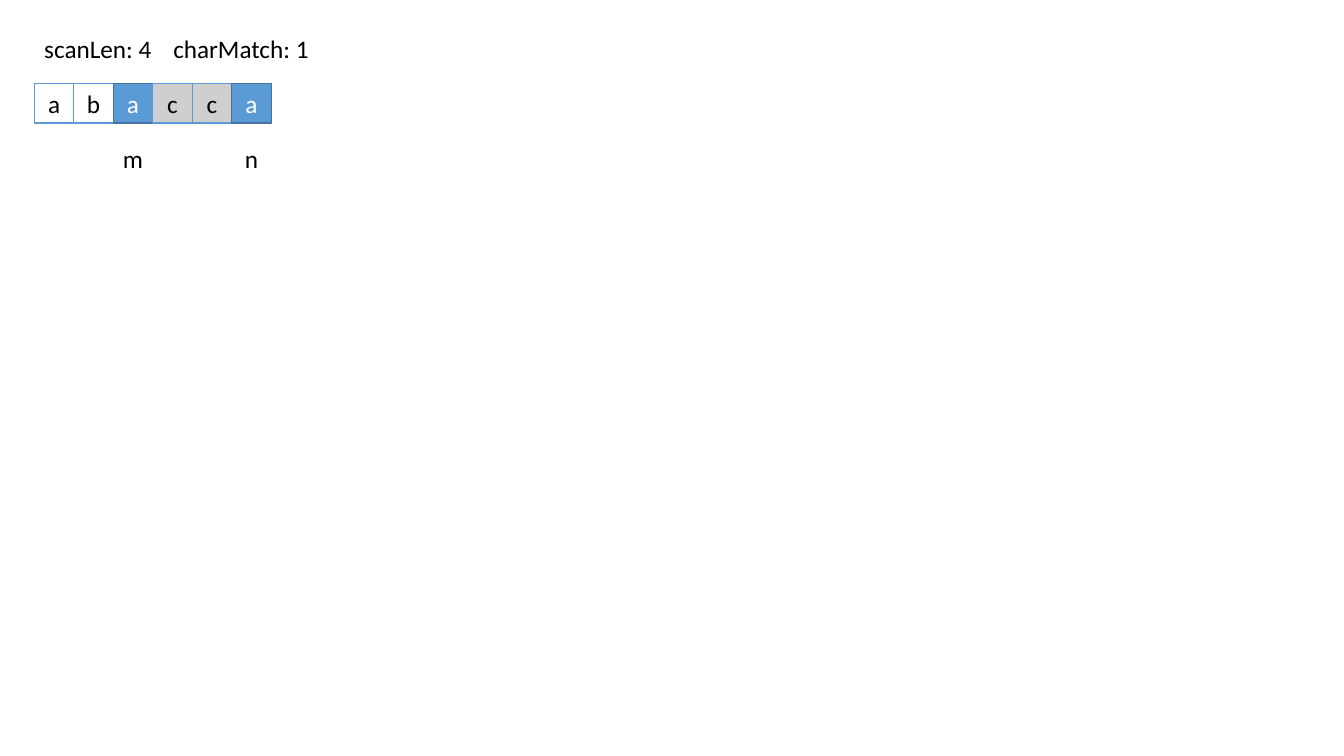
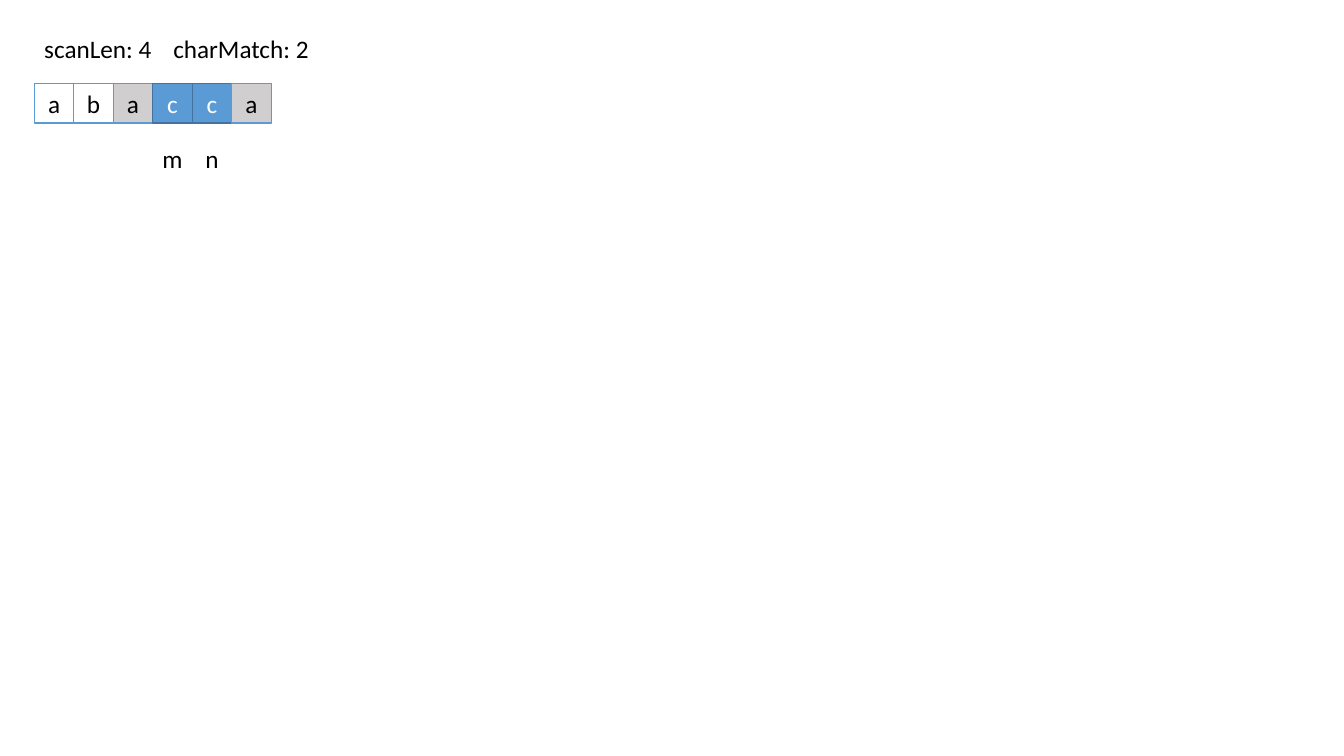
from lxml import etree
from pptx import Presentation
from pptx.dml.color import RGBColor
from pptx.enum.shapes import MSO_SHAPE
from pptx.enum.text import MSO_ANCHOR, MSO_AUTO_SIZE, PP_ALIGN
from pptx.oxml.ns import qn
from pptx.util import Inches, Pt

LETTERS = "abacca"
WINDOW = range(2, 6)
STEPS = [
    {"scanLen": 4, "charMatch": 1, "pointers": {"m": 2, "n": 5}},
    {"scanLen": 4, "charMatch": 2, "pointers": {"m": 3, "n": 4}},
]

BLACK, WHITE = "000000", "FFFFFF"
BLUE, DARK_BLUE, GRAY = "5B9BD5", "43739E", "D0CECE"

LEFT = Inches(0.34)
COUNTERS_TOP, ROW_TOP, POINTERS_TOP = Inches(0.28), Inches(0.83), Inches(1.37)
COUNTERS_WIDTH, COUNTER_TAB = Inches(3.31), Inches(1.28)
CELL = Inches(2.35) // len(LETTERS)
LABEL = Inches(0.4)


def rgb(color):
    return RGBColor.from_string(color)


def write(box, text, color=BLACK, align=PP_ALIGN.LEFT, anchor=MSO_ANCHOR.TOP,
          wrap=True, tab=None):
    frame = box.text_frame
    frame.word_wrap = wrap
    frame.vertical_anchor = anchor
    paragraph = frame.paragraphs[0]
    paragraph.alignment = align
    if tab is not None:
        tabs = etree.SubElement(paragraph._p.get_or_add_pPr(), qn("a:tabLst"))
        etree.SubElement(tabs, qn("a:tab"), pos=str(int(tab)), algn="l")
    run = paragraph.add_run()
    run.text = text
    run.font.name = "Calibri"
    run.font.size = Pt(18)
    run.font.color.rgb = rgb(color)


def add_label(slide, left, top, width, text, **style):
    box = slide.shapes.add_textbox(left, top, width, LABEL)
    write(box, text, **style)
    box.text_frame.auto_size = MSO_AUTO_SIZE.SHAPE_TO_FIT_TEXT


def cell_left(index):
    return LEFT + index * CELL


def add_cell(slide, index, letter, compared):
    cell = slide.shapes.add_shape(
        MSO_SHAPE.RECTANGLE, cell_left(index), ROW_TOP, CELL, CELL)
    cell.shadow.inherit = False
    if compared or index in WINDOW:
        cell.fill.solid()
        cell.fill.fore_color.rgb = rgb(BLUE if compared else GRAY)
    else:
        cell.fill.background()
    cell.line.color.rgb = rgb(DARK_BLUE if compared else BLUE)
    cell.line.width = Pt(1)
    write(cell, letter, color=WHITE if compared else BLACK,
          align=PP_ALIGN.CENTER, anchor=MSO_ANCHOR.MIDDLE)


def add_step(prs, step):
    slide = prs.slides.add_slide(prs.slide_layouts[6])
    pointers = step["pointers"]
    for index, letter in enumerate(LETTERS):
        add_cell(slide, index, letter, index in pointers.values())
    counters = "\t".join(f"{name}: {step[name]}" for name in ("scanLen", "charMatch"))
    add_label(slide, LEFT, COUNTERS_TOP, COUNTERS_WIDTH, counters, tab=COUNTER_TAB)
    for name, index in pointers.items():
        add_label(slide, cell_left(index) + (CELL - LABEL) // 2, POINTERS_TOP, LABEL,
                  name, align=PP_ALIGN.CENTER, wrap=False)


def main():
    prs = Presentation()
    prs.slide_width, prs.slide_height = Inches(13.33), Inches(7.5)
    for step in STEPS:
        add_step(prs, step)
    prs.save("out.pptx")


if __name__ == "__main__":
    main()
